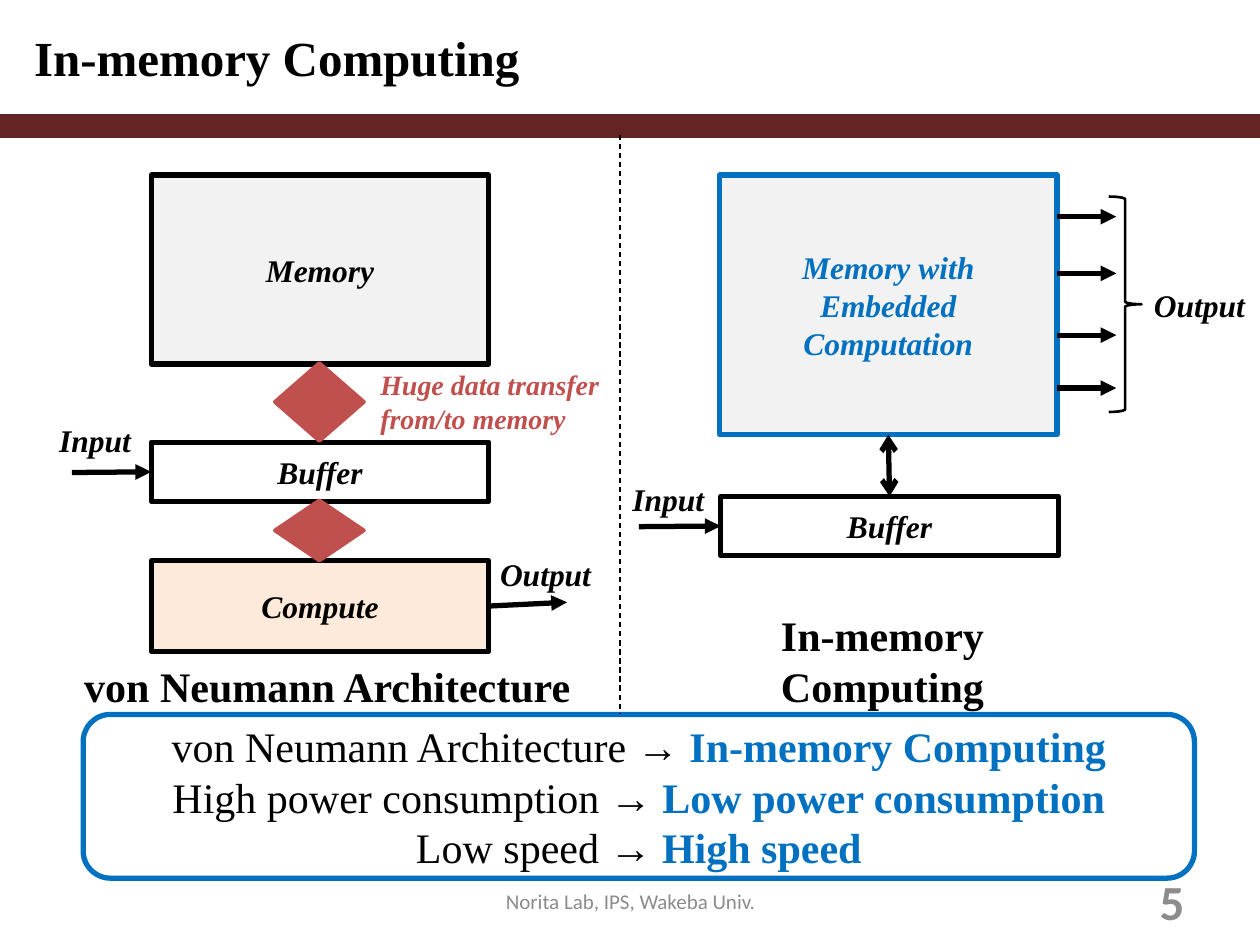
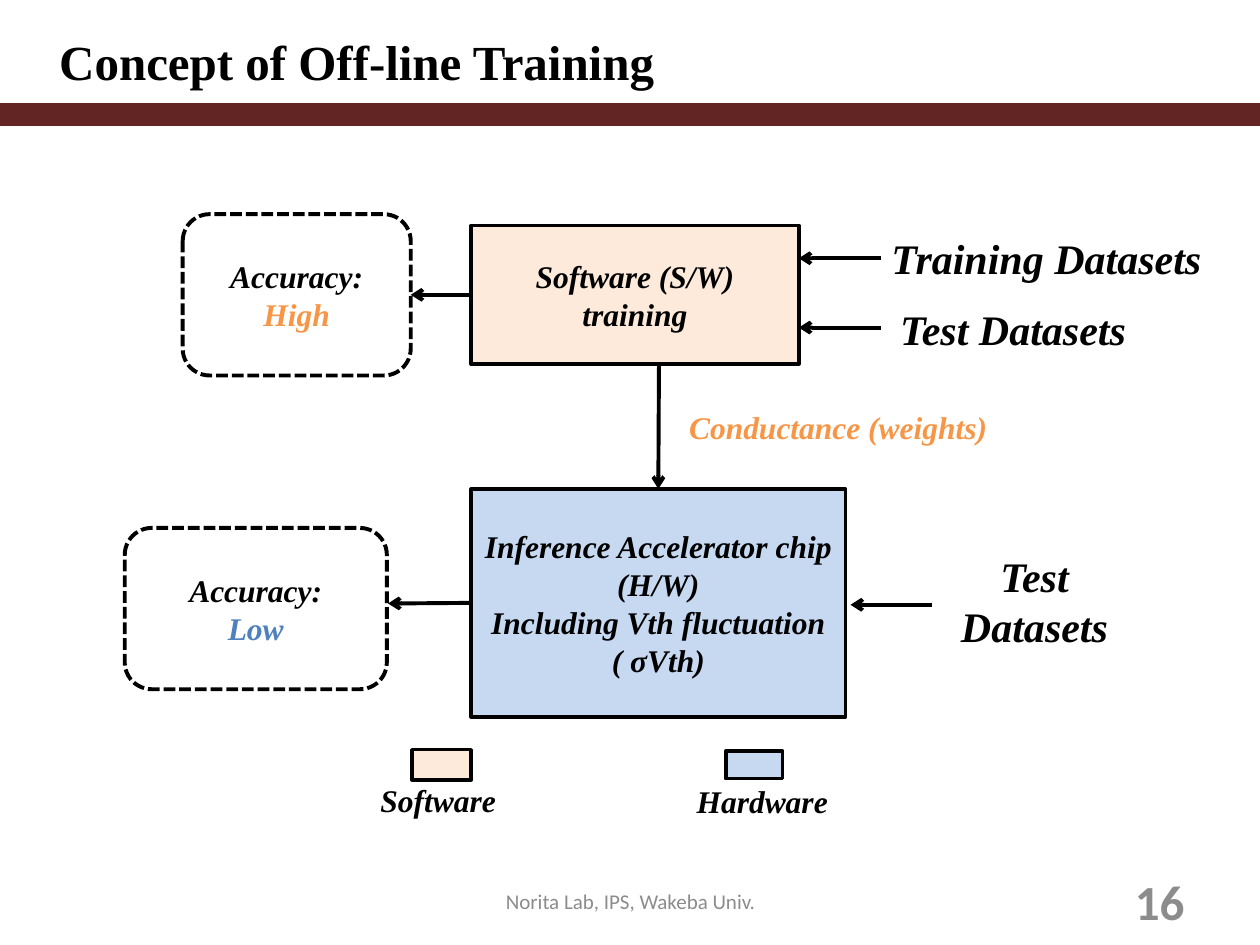
from dataclasses import dataclass

from lxml import etree
from pptx import Presentation
from pptx.dml.color import RGBColor
from pptx.enum.dml import MSO_LINE
from pptx.enum.shapes import MSO_CONNECTOR, MSO_SHAPE
from pptx.enum.text import MSO_ANCHOR, MSO_AUTO_SIZE, PP_ALIGN
from pptx.oxml.ns import qn
from pptx.util import Inches, Pt

RECT, ROUND = MSO_SHAPE.RECTANGLE, MSO_SHAPE.ROUNDED_RECTANGLE
UP_DOWN, BRACE = MSO_SHAPE.UP_DOWN_ARROW, MSO_SHAPE.RIGHT_BRACE
STRAIGHT = MSO_CONNECTOR.STRAIGHT
LEFT, CENTER, RIGHT = PP_ALIGN.LEFT, PP_ALIGN.CENTER, PP_ALIGN.RIGHT
TOP, MIDDLE = MSO_ANCHOR.TOP, MSO_ANCHOR.MIDDLE
DASH, SQUARE_DOT = MSO_LINE.DASH, MSO_LINE.SQUARE_DOT
NO_FIT = MSO_AUTO_SIZE.NONE
TOP_SIDE, LEFT_SIDE, BOTTOM_SIDE, RIGHT_SIDE = range(4)
TITLE_ONLY = 5


@dataclass(frozen=True)
class Theme:
    """Colours, fonts and type sizes shared by the slides."""
    black: str = "000000"
    white: str = "FFFFFF"
    band: str = "632523"
    grey: str = "F2F2F2"
    footer: str = "8C8C8C"
    red: str = "C0504D"
    blue: str = "0070C0"
    orange: str = "F79646"
    low: str = "4F81BD"
    software: str = "FDEADA"
    hardware: str = "C6D9F1"
    serif: str = "Times New Roman"
    sans: str = "Calibri"
    title: int = 28
    large: int = 24
    body: int = 18
    note: int = 16
    small: int = 12


T = Theme()
FOOTER = "Norita Lab, IPS, Wakeba Univ."


def rgb(value):
    """Turn a hex string into a colour."""
    return RGBColor.from_string(value)


def write(tf, paragraphs, size=T.body, color=T.black, bold=True, italic=True,
          align=CENTER, anchor=MIDDLE, font=T.serif):
    """Fill a text frame; a paragraph is a string or (text, color, bold) runs."""
    tf.word_wrap = True
    tf.auto_size = NO_FIT
    tf.vertical_anchor = anchor
    for i, content in enumerate(paragraphs):
        p = tf.paragraphs[0] if i == 0 else tf.add_paragraph()
        p.alignment = align
        p.font.name, p.font.size = font, Pt(size)
        p.font.italic = italic
        if isinstance(content, str):
            p.font.bold = bold
            p.font.color.rgb = rgb(color)
            p.add_run().text = content
            continue
        for text, run_color, run_bold in content:
            r = p.add_run()
            r.text = text
            r.font.bold = run_bold
            r.font.color.rgb = rgb(run_color)


def add_label(slide, at, text, align=LEFT, anchor=TOP, **style):
    """Add a text box."""
    sp = slide.shapes.add_textbox(*map(Inches, at))
    write(sp.text_frame, [text], align=align, anchor=anchor, **style)


def add_box(slide, at, fill=None, paragraphs=(), kind=RECT, line=T.black,
            width=3, dash=None, **style):
    """Add an outlined preset shape, with text if given."""
    sp = slide.shapes.add_shape(kind, *map(Inches, at))
    sp.shadow.inherit = False
    if fill:
        sp.fill.solid()
        sp.fill.fore_color.rgb = rgb(fill)
    else:
        sp.fill.background()
    sp.line.color.rgb = rgb(line)
    sp.line.width = Pt(width)
    if dash:
        sp.line.dash_style = dash
    if paragraphs:
        write(sp.text_frame, paragraphs, **style)
    return sp


def add_line(slide, start, end, width=3, head=None, tail=None, dash=None,
             begin=None, finish=None):
    """Add a straight line; begin and finish are (shape, side) joins."""
    cx = slide.shapes.add_connector(STRAIGHT, *map(Inches, start + end))
    if begin:
        cx.begin_connect(*begin)
    if finish:
        cx.end_connect(*finish)
    cx.line.color.rgb = rgb(T.black)
    cx.line.width = Pt(width)
    if dash:
        cx.line.dash_style = dash
    ln = cx.line._get_or_add_ln()
    for tag, kind in (("a:headEnd", head), ("a:tailEnd", tail)):
        if kind:
            etree.SubElement(ln, qn(tag), type=kind)
    etree.SubElement(cx._element.spPr, qn("a:effectLst"))


def add_data_arrow(slide, top, height):
    """Add a red double arrow between two blocks."""
    sp = add_box(slide, (2.18, top, 0.71, height), T.red, kind=UP_DOWN,
                 line=T.red, width=2)
    sp.adjustments[0], sp.adjustments[1] = 0.4, 0.34


def add_slide(prs, title, title_at, band_top, number):
    """Add a slide with its title, band, footer and number."""
    slide = prs.slides.add_slide(prs.slide_layouts[TITLE_ONLY])
    sp = slide.shapes.title
    sp.left, sp.top, sp.width, sp.height = map(Inches, title_at)
    write(sp.text_frame, [title], size=T.title, italic=False, align=LEFT,
          anchor=TOP)
    add_box(slide, (0, band_top, 10, 0.16), T.band, line=T.band, width=2)
    style = dict(color=T.footer, font=T.sans, italic=False, anchor=MIDDLE)
    add_label(slide, (3.42, 6.95, 3.17, 0.4), FOOTER, CENTER, size=T.small,
              bold=False, **style)
    add_label(slide, (7.17, 6.95, 2.33, 0.4), number, RIGHT, size=T.title,
              **style)
    return slide


def add_von_neumann(slide):
    """Draw the von Neumann half."""
    add_box(slide, (1.2, 1.39, 2.68, 1.5), T.grey, ["Memory"])
    buffer = add_box(slide, (1.2, 3.51, 2.68, 0.47), T.white, ["Buffer"])
    compute = add_box(slide, (1.2, 4.45, 2.68, 0.72), T.software, ["Compute"])
    add_data_arrow(slide, 2.88, 0.62)
    add_data_arrow(slide, 3.97, 0.48)
    add_line(slide, (0.57, 3.75), (1.2, 3.74), tail="triangle",
             finish=(buffer, LEFT_SIDE))
    add_line(slide, (3.88, 4.81), (4.5, 4.78), tail="triangle",
             begin=(compute, RIGHT_SIDE))
    add_label(slide, (0.37, 3.29, 1.11, 0.4), "Input")
    add_label(slide, (3.87, 4.36, 1.11, 0.4), "Output")
    add_label(slide, (2.92, 2.87, 2.11, 0.64),
              "Huge data transfer from/to memory", size=T.note, color=T.red)
    add_label(slide, (0.57, 5.19, 4.46, 0.5), "von Neumann Architecture",
              size=T.large, italic=False)


def add_in_memory(slide):
    """Draw the in-memory half."""
    memory = add_box(slide, (5.71, 1.39, 2.68, 2.06), T.grey,
                     ["Memory with Embedded Computation"], line=T.blue,
                     color=T.blue)
    buffer = add_box(slide, (5.72, 3.94, 2.68, 0.47), T.white, ["Buffer"])
    add_line(slide, (7.05, 3.45), (7.06, 3.94), head="arrow", tail="arrow",
             begin=(memory, BOTTOM_SIDE), finish=(buffer, TOP_SIDE))
    add_line(slide, (5.07, 4.18), (5.72, 4.17), tail="triangle",
             finish=(buffer, LEFT_SIDE))
    for y in (1.72, 2.17, 2.66, 3.08):
        add_line(slide, (8.39, y), (8.86, y), tail="triangle")
    add_box(slide, (8.8, 1.56, 0.26, 1.71), kind=BRACE, width=1.5)
    add_label(slide, (4.92, 3.76, 1.11, 0.4), "Input")
    add_label(slide, (9.06, 2.22, 1.11, 0.4), "Output")
    add_label(slide, (6.1, 4.79, 2.1, 0.91), "In-memory Computing",
              size=T.large, italic=False)


def build_computing(prs):
    """Build the comparison of the two architectures."""
    slide = add_slide(prs, "In-memory Computing", (0.17, 0.17, 8.49, 0.57),
                      0.92, "5")
    add_von_neumann(slide)
    add_in_memory(slide)
    gains = [
        [("von Neumann Architecture ", T.black, False), ("→ ", T.black, True),
         ("In-memory Computing", T.blue, True)],
        [("High power consumption → ", T.black, False),
         ("Low power consumption", T.blue, True)],
        [("Low speed → ", T.black, False), ("High speed", T.blue, True)],
    ]
    add_box(slide, (0.66, 5.67, 8.82, 1.3), T.white, gains, ROUND,
            line=T.blue, size=T.large, italic=False)
    add_line(slide, (4.92, 1.07), (4.92, 5.67), width=0.75, dash=DASH)


def add_accuracy(slide, at, level, color):
    """Add a dashed accuracy result."""
    return add_box(slide, at, T.white,
                   [[("Accuracy:", T.black, True)], [(level, color, True)]],
                   ROUND, width=2.25, dash=SQUARE_DOT)


def build_training(prs):
    """Build the off-line training flow."""
    slide = add_slide(prs, "Concept of Off-line Training",
                      (0.37, 0.2, 8.49, 0.57), 0.83, "16")
    software = add_box(slide, (3.74, 1.79, 2.6, 1.1), T.software,
                       ["Software (S/W)", "training"], width=2)
    chip = add_box(slide, (3.74, 3.88, 2.97, 1.81), T.hardware,
                   ["Inference Accelerator chip (H/W)",
                    "Including Vth fluctuation ( σVth)"], width=2)
    high = add_accuracy(slide, (1.45, 1.7, 1.81, 1.28), "High", T.orange)
    add_accuracy(slide, (0.99, 4.19, 2.08, 1.28), "Low", T.low)

    flow = dict(width=2.25, tail="arrow")
    add_line(slide, (3.74, 2.34), (3.26, 2.34), **flow,
             begin=(software, LEFT_SIDE), finish=(high, RIGHT_SIDE))
    add_line(slide, (3.74, 4.79), (3.08, 4.79), **flow,
             begin=(chip, LEFT_SIDE))
    add_line(slide, (5.23, 2.9), (5.23, 3.88), **flow,
             finish=(chip, TOP_SIDE))
    for x, y in ((6.34, 2.05), (6.34, 2.6), (6.75, 4.8)):
        add_line(slide, (x + 0.65, y), (x, y), **flow)

    for text, at in (("Training Datasets", (6.84, 1.8, 2.93, 0.5)),
                     ("Test Datasets", (6.78, 2.36, 2.52, 0.5)),
                     ("Test Datasets", (7.32, 4.32, 1.78, 0.91))):
        add_label(slide, at, text, CENTER, size=T.large)
    add_label(slide, (5.37, 3.19, 2.75, 0.4), "Conductance (weights)",
              color=T.orange)
    for text, fill, swatch, label in (
            ("Software", T.software, (3.27, 5.95, 0.47, 0.24), (2.92, 6.15)),
            ("Hardware", T.hardware, (5.76, 5.96, 0.45, 0.22), (5.43, 6.16))):
        add_box(slide, swatch, fill, width=2)
        add_label(slide, label + (1.45, 0.4), text)


def main():
    """Build and save the slides."""
    prs = Presentation()
    prs.slide_width, prs.slide_height = Inches(10), Inches(7.5)
    build_computing(prs)
    build_training(prs)
    prs.save("out.pptx")


if __name__ == "__main__":
    main()
